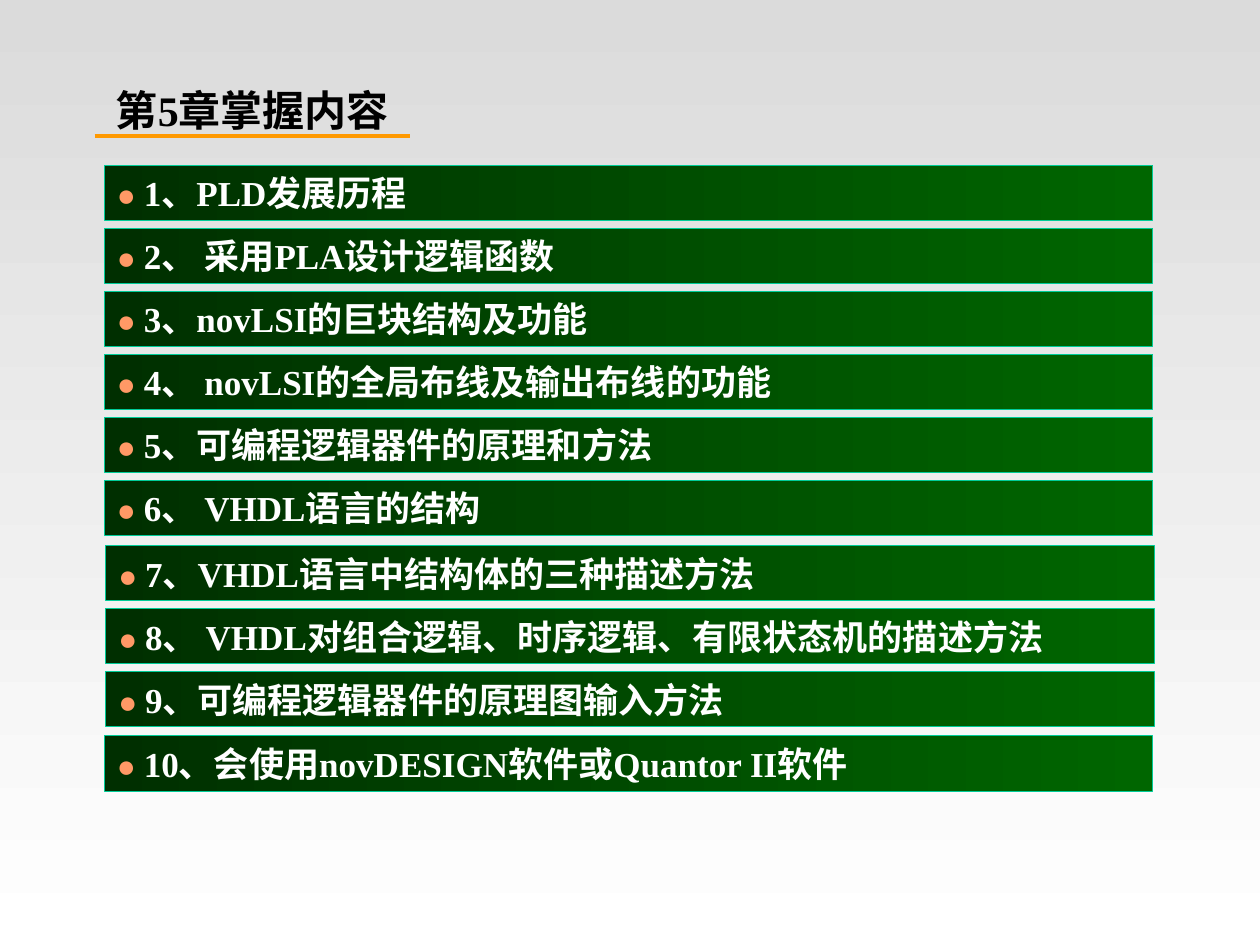
from pptx import Presentation
from pptx.dml.color import RGBColor as RGB
from pptx.enum.shapes import MSO_CONNECTOR as Wire, MSO_SHAPE as Form
from pptx.enum.text import MSO_ANCHOR as Anchor, MSO_AUTO_SIZE as Fit, PP_ALIGN as Align
from pptx.oxml.ns import qn
from pptx.util import Inches, Pt
from lxml.etree import SubElement

COLORS = {
    "sky": "DBDBDB", "base": "FFFFFF", "title": "000000", "rule": "FF9900",
    "green": "006600", "dark": "002F00", "edge": "00CC99",
    "dot": "FF9966", "text": "FFFFFF",
}
TOPICS = [
    "1、PLD发展历程",
    "2、 采用PLA设计逻辑函数",
    "3、novLSI的巨块结构及功能",
    "4、 novLSI的全局布线及输出布线的功能",
    "5、可编程逻辑器件的原理和方法",
    "6、 VHDL语言的结构",
    "7、VHDL语言中结构体的三种描述方法",
    "8、 VHDL对组合逻辑、时序逻辑、有限状态机的描述方法",
    "9、可编程逻辑器件的原理图输入方法",
    "10、会使用novDESIGN软件或Quantor II软件",
]
LEFT, TOP, WIDE, HIGH, STEP = 0.83, 1.31, 8.32, 0.44, 0.5


class Deck:
    font = "Times New Roman"

    def __init__(self):
        self.file = Presentation()
        self.file.slide_width, self.file.slide_height = Inches(10), Inches(7.5)
        self.slide = self.file.slides.add_slide(self.file.slide_layouts[5])
        self.blend(self.slide.background.fill, "sky", "base", 270)

    def color(self, name):
        return RGB.from_string(COLORS[name])

    def blend(self, fill, first, last, angle):
        fill.gradient()
        fill.gradient_angle = angle
        for stop, name in zip(fill.gradient_stops, (first, last)):
            stop.color.rgb = self.color(name)

    def style(self, font, size, name, bold):
        font.name, font.size, font.bold = self.font, Pt(size), bold
        font.color.rgb = self.color(name)

    def title(self, text, *box):
        shape = self.slide.shapes.title
        shape.left, shape.top, shape.width, shape.height = map(Inches, box)
        frame = shape.text_frame
        frame.text = text
        frame.auto_size, frame.vertical_anchor = Fit.NONE, Anchor.MIDDLE
        frame.margin_left = frame.margin_right = 0
        frame.margin_top = frame.margin_bottom = 0
        para = frame.paragraphs[0]
        para.alignment = Align.LEFT
        self.style(para.font, 24, "title", True)

    def rule(self, left, right, y):
        ends = map(Inches, (left, y, right, y))
        line = self.slide.shapes.add_connector(Wire.STRAIGHT, *ends)
        line.line.color.rgb = self.color("rule")
        line.line.width = Pt(2.25)
        SubElement(line._element.spPr, qn("a:effectLst"))

    def bar(self, text, *box):
        shape = self.slide.shapes.add_shape(Form.RECTANGLE, *map(Inches, box))
        shape.shadow.inherit = False
        self.blend(shape.fill, "green", "dark", 180)
        shape.line.color.rgb = self.color("edge")
        shape.line.width = Pt(0.5)
        frame = shape.text_frame
        frame.word_wrap, frame.vertical_anchor = True, Anchor.MIDDLE
        para = frame.paragraphs[0]
        para.alignment = Align.JUSTIFY
        for part, size, name, bold in (("● ", 18, "dot", False), (text, 20, "text", True)):
            run = para.add_run()
            run.text = part
            self.style(run.font, size, name, bold)


def main():
    deck = Deck()
    deck.title("第5章掌握内容", 0.92, 0.67, 2.58, 0.4)
    deck.rule(0.75, 3.25, 1.08)
    for row, text in enumerate(TOPICS):
        shift = 0.01 if 6 <= row <= 8 else 0
        drop = 0.02 if 6 <= row <= 8 else 0.03 if row == 9 else 0
        deck.bar(text, LEFT + shift, TOP + row * STEP + drop, WIDE, HIGH)
    deck.file.save("out.pptx")


if __name__ == "__main__":
    main()
